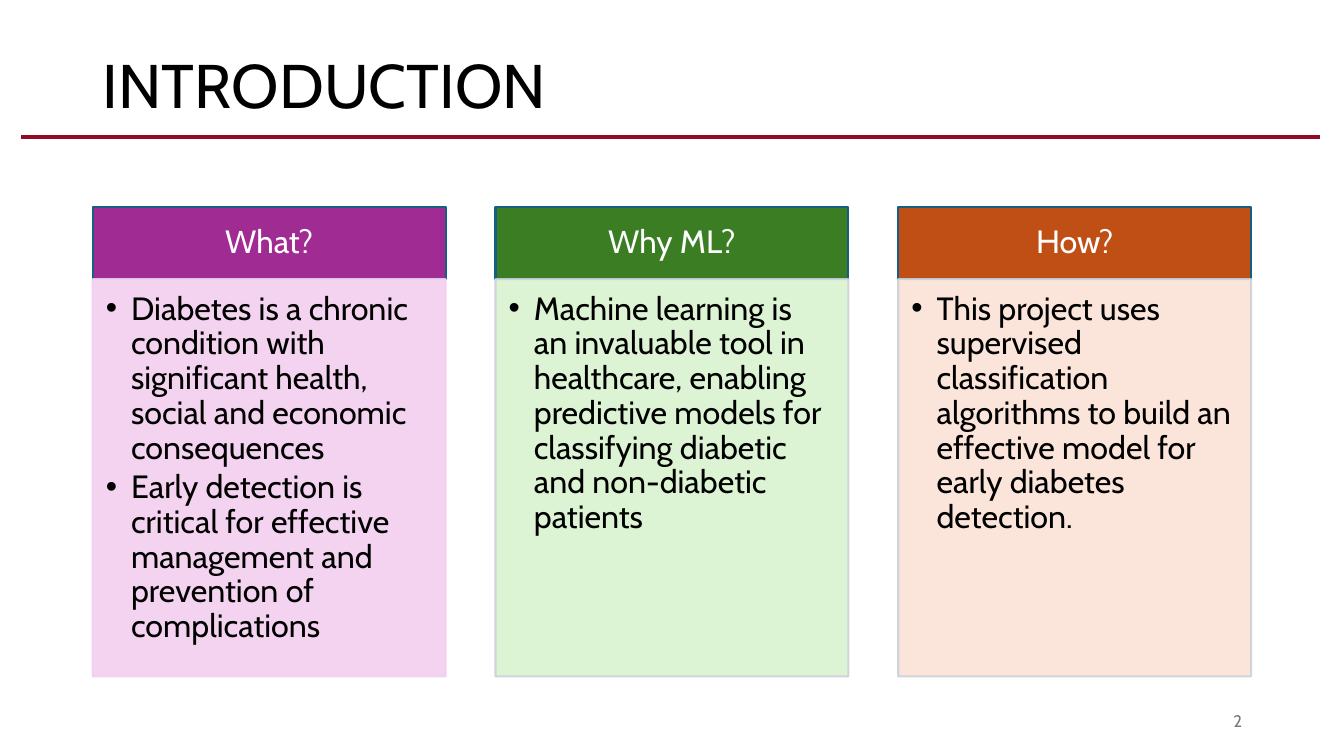
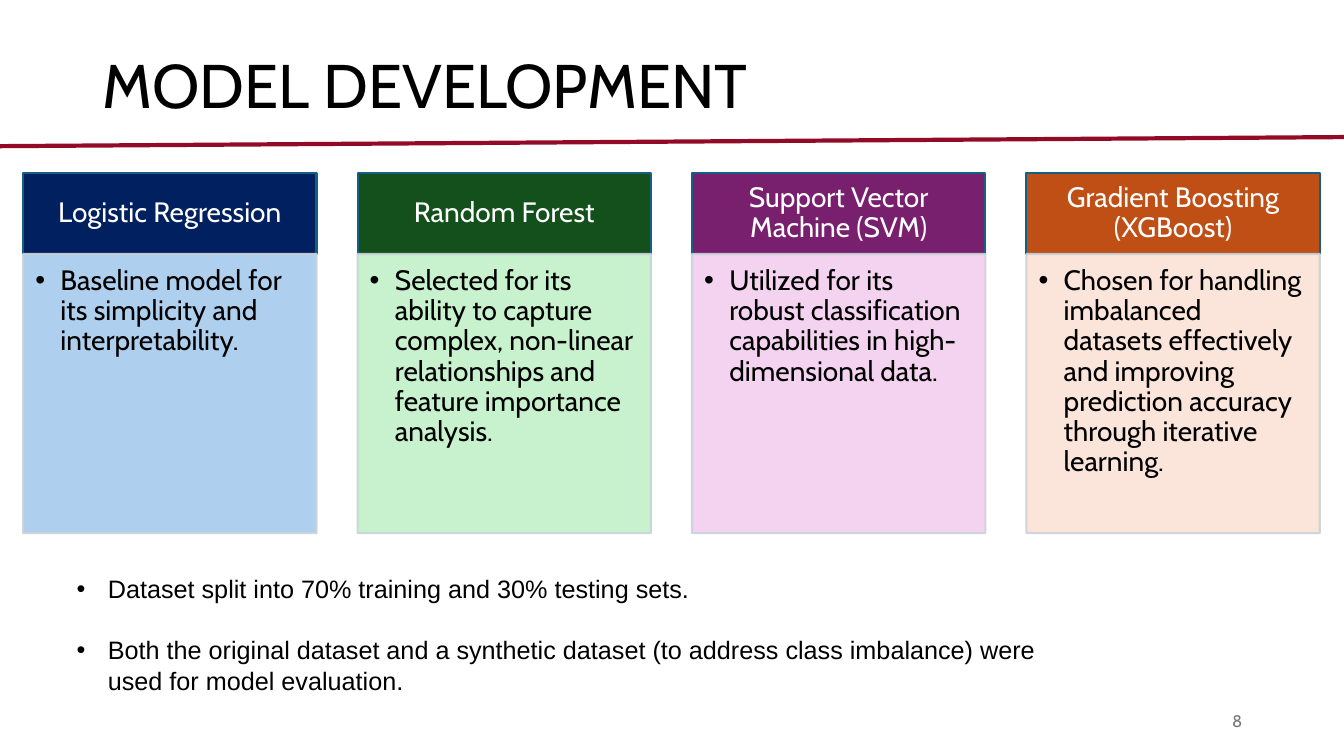
from lxml.etree import SubElement
from pptx import Presentation
from pptx.dml.color import RGBColor
from pptx.enum.shapes import MSO_CONNECTOR as Connector, MSO_SHAPE as Shape
from pptx.enum.text import MSO_ANCHOR as Anchor, MSO_AUTO_SIZE as AutoSize, PP_ALIGN as Align
from pptx.oxml.ns import qn
from pptx.util import Inches, Pt

TITLE_ONLY, TITLE_AND_BODY = 5, 1


def color(hex_code):
    return RGBColor.from_string(hex_code)


def add_bullet(para, hang):
    props = para._p.get_or_add_pPr()
    props.set("marL", str(Inches(hang)))
    props.set("indent", str(-Inches(hang)))
    SubElement(props, qn("a:buFont")).set("typeface", "Arial")
    SubElement(props, qn("a:buChar")).set("char", "•")


def set_opacity(fill_props, percent):
    rgb = fill_props.find(".//" + qn("a:srgbClr"))
    SubElement(rgb, qn("a:alpha")).set("val", str(percent * 1000))


def write(frame, lines, size=18, font="Cabin", ink="000000", align=Align.LEFT,
          anchor=Anchor.TOP, insets=(0.1, 0.05, 0.1, 0.05), spacing=1.0,
          after=0, hang=None):
    """Fill a text frame with one paragraph per line."""
    frame.word_wrap = True
    frame.auto_size = AutoSize.NONE
    frame.vertical_anchor = anchor
    (frame.margin_left, frame.margin_top,
     frame.margin_right, frame.margin_bottom) = map(Inches, insets)
    for index, line in enumerate(lines):
        para = frame.add_paragraph() if index else frame.paragraphs[0]
        para.alignment = align
        para.line_spacing = spacing
        para.space_before, para.space_after = Pt(0), Pt(after)
        if hang:
            add_bullet(para, hang)
        span = para.add_run()
        span.text = line
        span.font.size, span.font.name = Pt(size), font
        span.font.color.rgb = color(ink)


class SlideBuilder:
    RULE, HEAD_EDGE, BODY_EDGE, NUMBER = "930A26", "156082", "CCD2D8", "797979"

    def __init__(self):
        self.deck = Presentation()
        self.deck.slide_width, self.deck.slide_height = Inches(13.33), Inches(7.5)
        self.page = None

    def new_page(self, title, number, rule_start, rule_end, rule_weight, layout=TITLE_ONLY):
        self.page = self.deck.slides.add_slide(self.deck.slide_layouts[layout])
        self.place(self.page.shapes.title, 0.92, 0.4, 12.18, 0.96)
        write(self.page.shapes.title.text_frame, [title], size=44,
              anchor=Anchor.MIDDLE, spacing=0.9)
        self.rule(rule_start, rule_end, rule_weight)
        box = self.page.shapes.add_textbox(*map(Inches, (9.42, 6.95, 3, 0.4)))
        write(box.text_frame, [number], size=12, ink=self.NUMBER,
              align=Align.RIGHT, anchor=Anchor.MIDDLE)

    def place(self, shape, left, top, width, height):
        shape.left, shape.top = Inches(left), Inches(top)
        shape.width, shape.height = Inches(width), Inches(height)

    def rule(self, start, end, weight):
        line = self.page.shapes.add_connector(
            Connector.STRAIGHT, *map(Inches, (*start, *end)))
        line.line.color.rgb, line.line.width = color(self.RULE), Pt(weight)
        SubElement(line._element.spPr, qn("a:effectLst"))

    def panel(self, area, fill, edge, opacity=100):
        box = self.page.shapes.add_shape(Shape.RECTANGLE, *map(Inches, area))
        box.shadow.inherit = False
        box.fill.solid()
        box.fill.fore_color.rgb = color(fill)
        box.line.color.rgb, box.line.width = color(edge), Pt(1.5)
        if opacity < 100:
            set_opacity(box._element.spPr.find(qn("a:solidFill")), opacity)
            set_opacity(box._element.spPr.find(qn("a:ln")), opacity)
        return box.text_frame

    def cards(self, cards, left, right, top, width, head_height, body_height,
              size, head_insets, body_insets):
        """Spread headed cards evenly from left to right."""
        pitch = (right - left - width) / (len(cards) - 1)
        for index, (heading, points, dark, light, edge) in enumerate(cards):
            x = left + index * pitch
            head = self.panel((x, top, width, head_height), dark, self.HEAD_EDGE)
            write(head, [heading], size=size, ink="FFFFFF", align=Align.CENTER,
                  anchor=Anchor.MIDDLE, insets=head_insets, spacing=0.9)
            body = self.panel((x, top + head_height, width, body_height),
                              light, edge, opacity=90)
            write(body, points, size=size, insets=body_insets, spacing=0.9,
                  after=round(size * 0.15, 1), hang=0.25)

    def body_list(self, points, area):
        body = self.page.placeholders[1]
        self.place(body, *area)
        write(body.text_frame, points, font="Arial", after=22, hang=0.31)


def main():
    slides = SlideBuilder()
    soft = slides.BODY_EDGE

    # Introduction
    slides.new_page("INTRODUCTION", "2", (0.21, 1.36), (13.09, 1.36), 3.25)
    slides.cards([
        ("What?",
         ["Diabetes is a chronic condition with significant health, social and "
          "economic consequences",
          "Early detection is critical for effective management and prevention "
          "of complications"], "A02B93", "F2CFEE", "F2CFEE"),
        ("Why ML?",
         ["Machine learning is an invaluable tool in healthcare, enabling predictive "
          "models for classifying diabetic and non-diabetic patients"],
         "3B7D23", "D9F2D0", soft),
        ("How?",
         ["This project uses supervised classification algorithms to build an "
          "effective model for early diabetes detection."],
         "C04F15", "FBE3D6", soft),
    ], left=0.92, right=12.41, top=2.05, width=3.5, head_height=0.72, body_height=3.94,
        size=23, head_insets=(0.18, 0.1, 0.18, 0.1), body_insets=(0.13, 0.13, 0.18, 0.2))

    # Model development
    slides.new_page("MODEL DEVELOPMENT", "8", (0, 1.45), (13.33, 1.36), 3, TITLE_AND_BODY)
    slides.cards([
        ("Logistic Regression",
         ["Baseline model for its simplicity and interpretability."],
         "002060", "A6CAEC", soft),
        ("Random Forest",
         ["Selected for its ability to capture complex, non-linear relationships "
          "and feature importance analysis."], "13501B", "C2F1C8", soft),
        ("Support Vector Machine (SVM)",
         ["Utilized for its robust classification capabilities in "
          "high-dimensional data."], "78206E", "F2CFEE", soft),
        ("Gradient Boosting (XGBoost)",
         ["Chosen for handling imbalanced datasets effectively and improving "
          "prediction accuracy through iterative learning."],
         "C04F15", "FBE3D6", soft),
    ], left=0.23, right=13.09, top=1.72, width=2.91, head_height=0.8, body_height=2.77,
        size=20, head_insets=(0.16, 0.09, 0.16, 0.09), body_insets=(0.12, 0.12, 0.16, 0.17))
    slides.body_list([
        "Dataset split into 70% training and 30% testing sets.",
        "Both the original dataset and a synthetic dataset (to address class "
        "imbalance) were used for model evaluation.",
    ], (0.66, 5.64, 9.97, 1.31))

    slides.deck.save("out.pptx")


if __name__ == "__main__":
    main()
